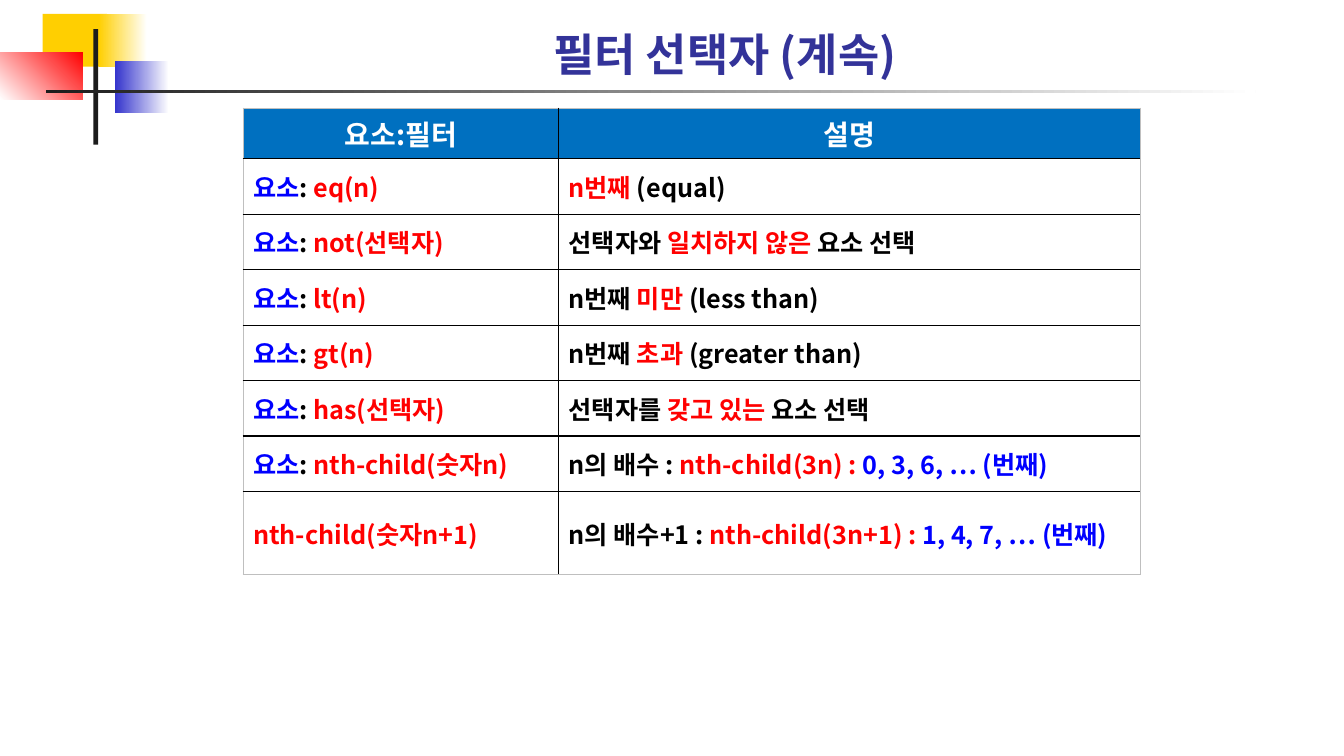
import dataclasses
import typing

import pptx
import pptx.dml.color
import pptx.enum.shapes
import pptx.enum.text
import pptx.oxml
import pptx.oxml.ns
import pptx.util

Pt = pptx.util.Pt
FONT = "Noto Sans CJK KR"
COLORS = {
    "white": "FFFFFF", "black": "000000", "red": "FF0000", "blue": "0000FF",
    "head": "0070C0", "title": "333399", "gold": "FFCF01", "indigo": "3333CC",
    "dark": "1C1C1C", "edge": "BFBFBF",
}


class Run(typing.NamedTuple):
    text: str
    color: str


@dataclasses.dataclass
class Block:
    left: float
    top: float
    width: float
    height: float
    start: str
    end: str = ""
    angle: float = 0


BLOCKS = [
    Block(30.4, 10, 46, 37.6, "gold"),
    Block(70.6, 10, 34.4, 37.6, "gold", "white"),
    Block(82, 43.4, 38.6, 37.4, "indigo", "white"),
    Block(0, 37.4, 59.2, 33.4, "white", "red", 45),
    Block(66.8, 20.8, 3.4, 82.6, "dark"),
    Block(33, 64, 864, 2.4, "dark", "white"),
]


def rule(name: str) -> list[Run]:
    return [Run("요소", "blue"), Run(": ", "black"), Run(name, "red")]


HEADS = [[Run("요소:필터", "white")], [Run("설명", "white")]]
ROWS = [
    HEADS,
    [rule("eq(n)"), [Run("n번째 ", "red"), Run("(equal)", "black")]],
    [rule("not(선택자)"), [Run("선택자와 ", "black"), Run("일치하지 않은", "red"),
                        Run(" 요소 선택", "black")]],
    [rule("lt(n)"), [Run("n번째 ", "black"), Run("미만 ", "red"),
                     Run("(less than)", "black")]],
    [rule("gt(n)"), [Run("n번째 ", "black"), Run("초과 ", "red"),
                     Run("(greater than)", "black")]],
    [rule("has(선택자)"), [Run("선택자를 ", "black"), Run("갖고 있는 ", "red"),
                        Run("요소 선택", "black")]],
    [rule("nth-child(숫자n)"), [Run("n의 배수 : ", "black"), Run("nth-child(3n) : ", "red"),
                              Run("0, 3, 6, … (번째)", "blue")]],
    [[Run("nth-child(숫자n+1)", "red")],
     [Run("n의 배수+1 : ", "black"), Run("nth-child(3n+1) : ", "red"),
      Run("1, 4, 7, … (번째)", "blue")]],
]
WIDTHS = [225.4, 415.4]
HEIGHTS = [31] + [39.6] * 6 + [48.2]


def rgb(name: str) -> pptx.dml.color.RGBColor:
    return pptx.dml.color.RGBColor.from_string(COLORS[name])


def assign(target: typing.Any, values: dict[str, typing.Any]) -> None:
    for name, value in values.items():
        setattr(target, name, value)


def write(frame: typing.Any, runs: list[Run], size: float, center: bool) -> None:
    line = frame.paragraphs[0]
    align = pptx.enum.text.PP_ALIGN
    line.alignment = align.CENTER if center else align.LEFT
    for text, color in runs:
        run = line.add_run()
        run.text = text
        assign(run.font, {"size": Pt(size), "bold": True, "name": FONT})
        run.font.color.rgb = rgb(color)
        latin = run.font._element.find(pptx.oxml.ns.qn("a:latin"))
        latin.addnext(pptx.oxml.parse_xml(
            f'<a:ea {pptx.oxml.ns.nsdecls("a")} typeface="{FONT}"/>'))


def draw(slide: typing.Any, block: Block) -> None:
    shape = slide.shapes.add_shape(
        pptx.enum.shapes.MSO_SHAPE.RECTANGLE,
        Pt(block.left), Pt(block.top), Pt(block.width), Pt(block.height))
    shape.shadow.inherit = False
    shape.line.fill.background()
    if block.end:
        shape.fill.gradient()
        shape.fill.gradient_angle = block.angle
        for stop, color, place in zip(
                shape.fill.gradient_stops, (block.start, block.end), (0, 1)):
            stop.color.rgb = rgb(color)
            stop.position = place
    else:
        shape.fill.solid()
        shape.fill.fore_color.rgb = rgb(block.start)


def border(cell: typing.Any, outer: dict[str, bool]) -> None:
    """Rule the four sides: thin grey at the table's edge, black within."""
    props = cell._tc.get_or_add_tcPr()
    for place, (side, edge) in enumerate(outer.items()):
        color, width = ("edge", 0.5) if edge else ("black", 1)
        props.insert(place, pptx.oxml.parse_xml(
            f'<a:{side} {pptx.oxml.ns.nsdecls("a")} w="{Pt(width)}">'
            f'<a:solidFill><a:srgbClr val="{COLORS[color]}"/></a:solidFill></a:{side}>'))


def fill_table(slide: typing.Any) -> None:
    table = slide.shapes.add_table(
        len(ROWS), len(WIDTHS), Pt(173.6), Pt(77.2),
        Pt(sum(WIDTHS)), Pt(sum(HEIGHTS))).table
    assign(table, {"first_row": False, "horz_banding": False})
    for column, width in zip(table.columns, WIDTHS):
        column.width = Pt(width)
    for i, (row, height) in enumerate(zip(ROWS, HEIGHTS)):
        table.rows[i].height = Pt(height)
        for j, runs in enumerate(row):
            cell, head = table.cell(i, j), i == 0
            assign(cell, {
                "vertical_anchor": pptx.enum.text.MSO_ANCHOR.MIDDLE,
                "margin_left": Pt(7.2), "margin_right": Pt(7.2),
                "margin_top": Pt(3.6), "margin_bottom": Pt(3.6)})
            cell.fill.solid()
            cell.fill.fore_color.rgb = rgb("head" if head else "white")
            write(cell.text_frame, runs, 20 if head else 18, head)
            border(cell, {"lnL": j == 0, "lnR": j == len(WIDTHS) - 1,
                          "lnT": head, "lnB": i == len(ROWS) - 1})


def main() -> None:
    deck = pptx.Presentation()
    assign(deck, {"slide_width": Pt(960), "slide_height": Pt(540)})
    slide = deck.slides.add_slide(deck.slide_layouts[5])
    for block in BLOCKS:
        draw(slide, block)
    fill_table(slide)
    title = slide.shapes.title
    assign(title, {"left": Pt(211), "top": Pt(16.6), "width": Pt(613.4), "height": Pt(44)})
    assign(title.text_frame, {
        "word_wrap": True, "vertical_anchor": pptx.enum.text.MSO_ANCHOR.MIDDLE,
        "auto_size": pptx.enum.text.MSO_AUTO_SIZE.NONE})
    write(title.text_frame, [Run("필터 선택자 (계속)", "title")], 32, True)
    deck.save("out.pptx")


if __name__ == "__main__":
    main()
